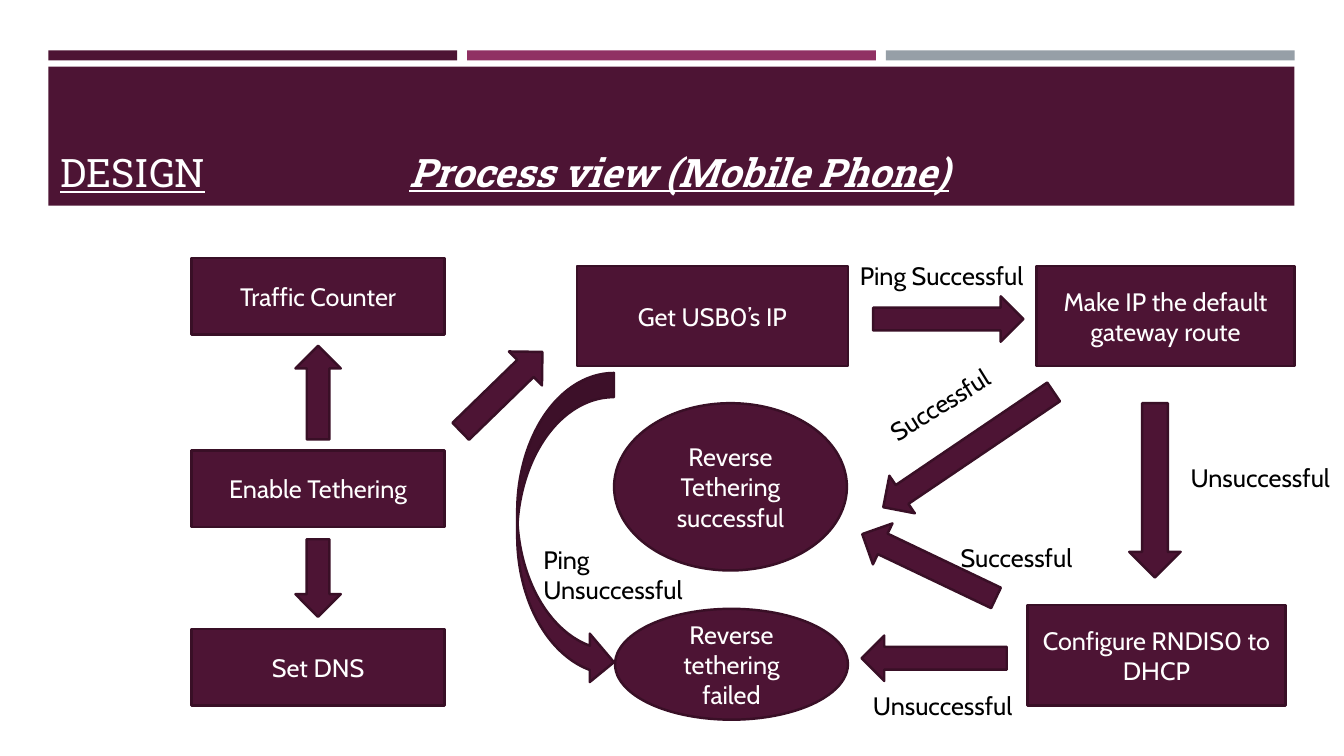
from dataclasses import dataclass

from pptx import Presentation
from pptx.dml.color import RGBColor
from pptx.enum.shapes import MSO_SHAPE as SHAPE
from pptx.enum.text import MSO_ANCHOR as ANCHOR, MSO_AUTO_SIZE as AUTO, PP_ALIGN as ALIGN
from pptx.util import Inches, Pt

COLORS = {
    "plum": "4D1434",
    "edge": "390F26",
    "magenta": "903163",
    "gray": "969FA7",
    "white": "FFFFFF",
    "black": "000000",
}
HEAD_FONT, BODY_FONT = "Roboto Slab", "Cabin"
CELL = Inches(0.1)


@dataclass
class Box:
    col: float
    row: float
    cols: float
    rows: float

    def sub(self, col, row, cols, rows):
        return Box(self.col + col, self.row + row, cols, rows)

    def emu(self):
        return [round(n * CELL) for n in (self.col, self.row, self.cols, self.rows)]


def rgb(name):
    return RGBColor.from_string(COLORS[name])


def write(tf, text, size=18, font=BODY_FONT, color="black", align=ALIGN.LEFT,
          anchor=ANCHOR.TOP, bold=False, italic=False, underline=False):
    tf.word_wrap = True
    tf.auto_size = AUTO.NONE
    tf.vertical_anchor = anchor
    p = tf.paragraphs[0]
    p.alignment = align
    r = p.add_run()
    r.text = text
    f = r.font
    f.size, f.name, f.color.rgb = Pt(size), font, rgb(color)
    f.bold, f.italic, f.underline = bold, italic, underline


def add_shape(s, kind, box, fill="plum", line="edge", rotation=0):
    sp = s.shapes.add_shape(kind, *box.emu())
    sp.shadow.inherit = False
    sp.rotation = rotation
    sp.fill.solid()
    sp.fill.fore_color.rgb = rgb(fill)
    if line:
        sp.line.color.rgb = rgb(line)
        sp.line.width = Pt(1.75)
    else:
        sp.line.fill.background()
    return sp


def add_step(s, box, text, kind=SHAPE.RECTANGLE):
    sp = add_shape(s, kind, box)
    write(sp.text_frame, text, color="white", align=ALIGN.CENTER, anchor=ANCHOR.MIDDLE)


def add_label(s, box, text, rotation=0, **fmt):
    sp = s.shapes.add_textbox(*box.emu())
    sp.rotation = rotation
    write(sp.text_frame, text, **fmt)


def add_header(s, box):
    gap = 1
    bar = (box.cols - 2 * gap) / 3
    for i, color in enumerate(("plum", "magenta", "gray")):
        add_shape(s, SHAPE.RECTANGLE, box.sub(i * (bar + gap), 0, bar, 1), color, None)
    add_shape(s, SHAPE.RECTANGLE, box.sub(0, 1.6, box.cols, 13.8), line=None)
    heading = dict(size=28, font=HEAD_FONT, color="white", underline=True)
    title = s.shapes.title
    title.element.getparent().append(title.element)
    title.left, title.top, title.width, title.height = box.sub(0.2, 0.9, 123.4, 14).emu()
    write(title.text_frame, "DESIGN", anchor=ANCHOR.BOTTOM, **heading)
    add_label(s, box.sub(34.8, 9.2, 64.1, 5.7), "Process view (Mobile Phone)",
              bold=True, italic=True, **heading)


def add_tethering_start(s, box):
    for row, text in ((0, "Traffic Counter"), (19.1, "Enable Tethering"), (36.8, "Set DNS")):
        add_step(s, box.sub(0, row, box.cols, 7.6), text)
    for col, row, cols, rows, rotation in (
        (10.3, 8.7, 4.5, 9.3, 180),
        (10.3, 27.9, 4.5, 7.7, 0),
        (28.4, 7.6, 4.7, 11.3, 225.8),
    ):
        add_shape(s, SHAPE.DOWN_ARROW, box.sub(col, row, cols, rows), rotation=rotation)


def add_connection_flow(s, box):
    for cell, text, kind in (
        ((6.2, 1.4, 26.9, 9.9), "Get USB0’s IP", SHAPE.RECTANGLE),
        ((51.8, 1.4, 25.6, 9.9), "Make IP the default gateway route", SHAPE.RECTANGLE),
        ((50.9, 35, 25.6, 10), "Configure RNDIS0 to DHCP", SHAPE.RECTANGLE),
        ((9.9, 15, 23.1, 16.6), "Reverse Tethering successful", SHAPE.OVAL),
        ((10, 35.4, 23.1, 11), "Reverse tethering failed", SHAPE.OVAL),
    ):
        add_step(s, box.sub(*cell), text, kind)
    for cell, rotation in (
        ((40.8, -0.8, 4.5, 14.9), 270),
        ((61, 15, 5.1, 17.3), 0),
        ((42.8, 9.4, 4.5, 20.4), 55.9),
        ((38.9, 23.8, 4.5, 14.7), 115.5),
        ((39.4, 33.1, 4.5, 14.4), 90),
    ):
        add_shape(s, SHAPE.DOWN_ARROW, box.sub(*cell), rotation=rotation)
    add_shape(s, SHAPE.CURVED_RIGHT_ARROW, box.sub(0.3, 12, 9.6, 31.1))
    for cell, text, rotation in (
        ((33.3, 0.3, 18.5, 4), "Ping Successful", 0),
        ((35.5, 12.5, 15.4, 4), "Successful", 328.1),
        ((43.3, 28.3, 15.4, 4), "Successful", 0),
        ((66.1, 20.4, 16.2, 4), "Unsuccessful", 0),
        ((34.6, 43, 16, 4), "Unsuccessful", 0),
        ((1.9, 28.5, 16.2, 10.1), "Ping Unsuccessful", 0),
    ):
        add_label(s, box.sub(*cell), text, rotation)


def main():
    prs = Presentation()
    prs.slide_width, prs.slide_height = Inches(13.33), Inches(7.5)
    s = prs.slides.add_slide(prs.slide_layouts[5])
    add_header(s, Box(4.8, 5, 123.6, 15.4))
    add_tethering_start(s, Box(19, 25.6, 25.1, 44.4))
    add_connection_flow(s, Box(51, 25, 82.3, 46.4))
    prs.save("out.pptx")


if __name__ == "__main__":
    main()
